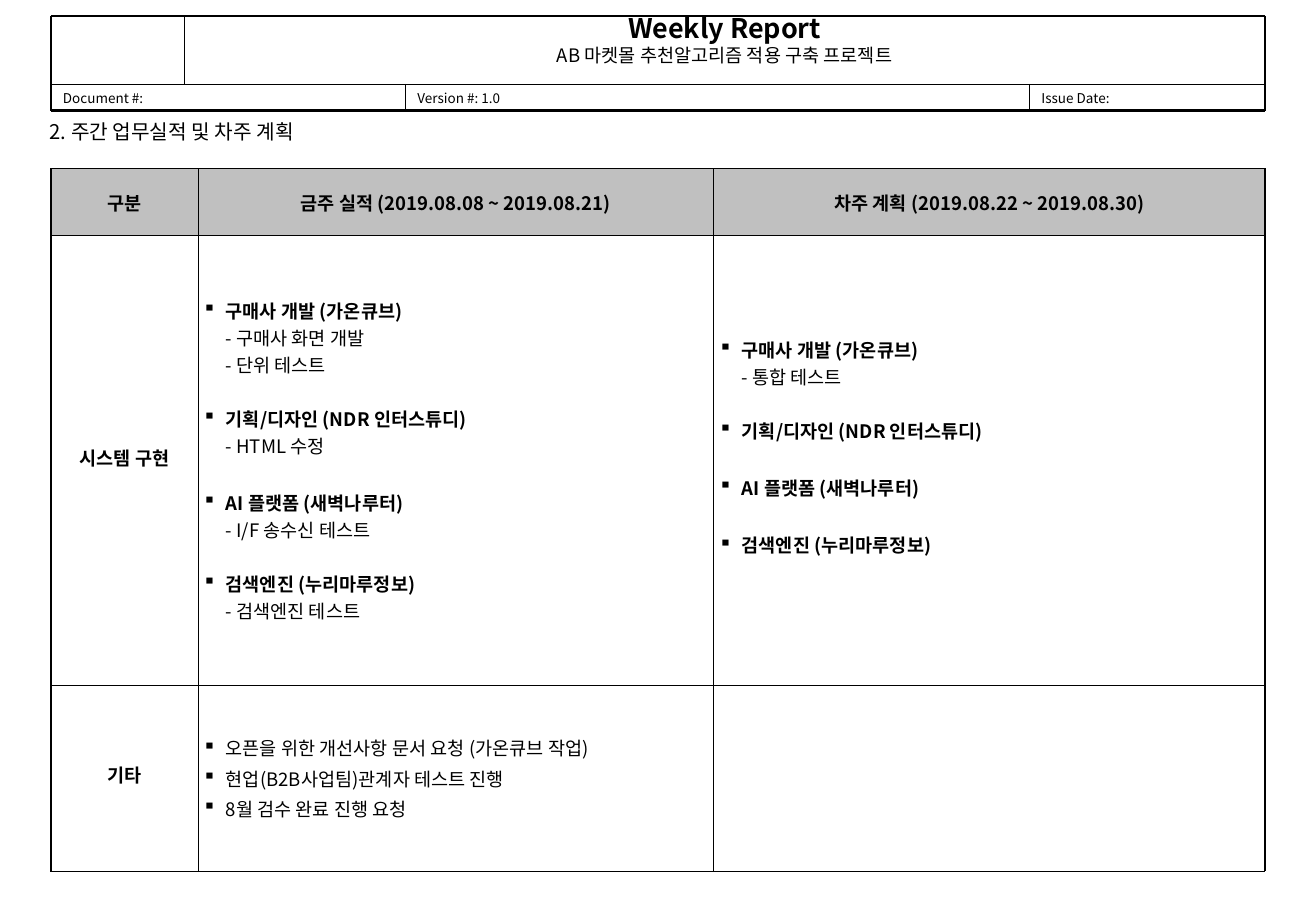
from lxml import etree
from pptx import Presentation
from pptx.dml.color import RGBColor
from pptx.enum.shapes import MSO_CONNECTOR
from pptx.enum.text import MSO_ANCHOR, MSO_AUTO_SIZE, PP_ALIGN
from pptx.oxml.ns import qn
from pptx.util import Inches, Pt

LINE = MSO_CONNECTOR.STRAIGHT
TOP, MIDDLE = MSO_ANCHOR.TOP, MSO_ANCHOR.MIDDLE
FIXED = MSO_AUTO_SIZE.NONE
LEFT, CENTER = PP_ALIGN.LEFT, PP_ALIGN.CENTER

THEME = {
    "font": "Noto Sans CJK KR", "ink": "000000", "paper": "FFFFFF", "head": "C0C0C0",
    "report": 16, "title": 12, "body": 11, "meta": 8,
    "thin": 0.25, "thick": 1.5, "inner": 0.45, "outer": 0.75,
}

TITLE = "2. 주간 업무실적 및 차주 계획"
REPORT = "Weekly Report"
PROJECT = "AB 마켓몰 추천알고리즘 적용 구축 프로젝트"
META = ["Document #:", "Version #: 1.0", "Issue Date:"]
HEADS = ["구분", "금주 실적 (2019.08.08 ~ 2019.08.21)", "차주 계획 (2019.08.22 ~ 2019.08.30)"]
LABELS = ["시스템 구현", "기타"]

DONE = [
    (0, "구매사 개발 (가온큐브)", ["- 구매사 화면 개발", "- 단위 테스트"]),
    (15, "기획/디자인 (NDR 인터스튜디)", ["- HTML 수정"]),
    (17, "AI 플랫폼 (새벽나루터)", ["- I/F 송수신 테스트"]),
    (15, "검색엔진 (누리마루정보)", ["- 검색엔진 테스트"]),
]
PLAN = [
    (0, "구매사 개발 (가온큐브)", ["- 통합 테스트"]),
    (15, "기획/디자인 (NDR 인터스튜디)", []),
    (17, "AI 플랫폼 (새벽나루터)", []),
    (17, "검색엔진 (누리마루정보)", []),
]
OTHER = [
    (0, "오픈을 위한 개선사항 문서 요청 (가온큐브 작업)", []),
    (1, "현업(B2B사업팀)관계자 테스트 진행", []),
    (1, "8월 검수 완료 진행 요청", []),
]
LISTS = [(1, 1, DONE, True, 0.05), (1, 2, PLAN, True, 0.27), (2, 1, OTHER, False, 0.05)]

X0, X1 = 0.42, 10.42
Y0, YMID, Y1 = 0.13, 0.69, 0.91
LOGO = 1.52
EDGES = [X0, 3.34, 8.48, X1]
COLS = [1.21, 4.25, 4.54]
ROWS = [0.55, 3.7, 1.53]
GRID = 1.39


def paint(run, size, bold=False):
    font = run.font
    font.name, font.size, font.bold = THEME["font"], Pt(size), bold
    font.color.rgb = RGBColor.from_string(THEME["ink"])
    east = etree.Element(qn("a:ea"), typeface=THEME["font"])
    run._r.rPr.find(qn("a:latin")).addnext(east)


def write(para, text, size, bold=False, align=LEFT):
    para.text = text
    para.alignment = align
    for run in para.runs:
        paint(run, size, bold)


def setup(frame, anchor, inset=0):
    frame.word_wrap = True
    frame.auto_size = FIXED
    frame.vertical_anchor = anchor
    frame.margin_left = frame.margin_right = Inches(0.1)
    frame.margin_top = frame.margin_bottom = Inches(inset)


def box(slide, x, y, w, h, anchor):
    frame = slide.shapes.add_textbox(Inches(x), Inches(y), Inches(w), Inches(h)).text_frame
    setup(frame, anchor)
    return frame


def rule(slide, x, y, x2, y2, width):
    line = slide.shapes.add_connector(LINE, Inches(x), Inches(y), Inches(x2), Inches(y2))
    line.line.color.rgb = RGBColor.from_string(THEME["ink"])
    line.line.width = Pt(width)
    etree.SubElement(line._element.spPr, qn("a:effectLst"))


def banner(slide):
    frame = box(slide, LOGO, 0.15, X1 - LOGO, YMID - Y0, TOP)
    first, second = frame.paragraphs[0], frame.add_paragraph()
    write(first, REPORT, THEME["report"], True, CENTER)
    write(second, PROJECT, THEME["body"], False, CENTER)
    first.line_spacing = second.line_spacing = 0.8
    second.space_before = Pt(2.2)
    for text, left, right in zip(META, EDGES, EDGES[1:]):
        frame = box(slide, left, YMID, right - left, 0.23, MIDDLE)
        write(frame.paragraphs[0], text, THEME["meta"])
    rule(slide, LOGO, Y0, LOGO, YMID, THEME["thin"])
    for x in EDGES[1:-1]:
        rule(slide, x, YMID, x, Y1, THEME["thin"])
    rule(slide, X0, YMID, X1, YMID, THEME["thin"])
    for x in (X0, X1):
        rule(slide, x, Y0, x, Y1, THEME["thick"])
    for y in (Y0, Y1):
        rule(slide, X0, y, X1, y, THEME["thick"])


def border(cell, row, col):
    outer = {"L": col == 0, "R": col == len(COLS) - 1, "T": row == 0, "B": False}
    props = cell._tc.get_or_add_tcPr()
    for spot, (side, edge) in enumerate(outer.items()):
        width = Pt(THEME["outer" if edge else "inner"])
        line = etree.Element(qn("a:ln" + side), w=str(int(width)))
        fill = etree.SubElement(line, qn("a:solidFill"))
        etree.SubElement(fill, qn("a:srgbClr"), val=THEME["ink"])
        props.insert(spot, line)


def bullet(para):
    props = para._p.get_or_add_pPr()
    props.set("marL", str(int(Inches(0.19))))
    props.set("indent", str(int(Inches(-0.19))))
    color = etree.SubElement(props, qn("a:buClr"))
    etree.SubElement(color, qn("a:srgbClr"), val=THEME["ink"])
    etree.SubElement(props, qn("a:buChar"), char="▪")


def fill_list(cell, items, bold, bottom):
    cell.margin_left = cell.margin_right = Inches(0.04)
    cell.margin_bottom = Inches(bottom)
    frame = cell.text_frame
    for spot, (gap, head, tasks) in enumerate(items):
        para = frame.add_paragraph() if spot else frame.paragraphs[0]
        bullet(para)
        write(para, "\v".join([head, *tasks]), THEME["body"])
        para.runs[0].font.bold = bold
        para.space_before, para.space_after = Pt(gap), Pt(1)


def plan_table(slide):
    shape = slide.shapes.add_table(len(ROWS), len(COLS), Inches(X0), Inches(GRID),
                                   Inches(sum(COLS)), Inches(sum(ROWS)))
    table = shape.table
    for col, width in zip(table.columns, COLS):
        col.width = Inches(width)
    for row, height in zip(table.rows, ROWS):
        row.height = Inches(height)
    for r in range(len(ROWS)):
        for c in range(len(COLS)):
            cell = table.cell(r, c)
            cell.fill.solid()
            cell.fill.fore_color.rgb = RGBColor.from_string(THEME["paper" if r else "head"])
            cell.vertical_anchor = MIDDLE
            cell.margin_left = cell.margin_right = Inches(0.02)
            cell.margin_top = cell.margin_bottom = Inches(0.05)
            border(cell, r, c)
    for c, text in enumerate(HEADS):
        write(table.cell(0, c).text_frame.paragraphs[0], text, THEME["body"], True, CENTER)
    for r, text in enumerate(LABELS, 1):
        para = table.cell(r, 0).text_frame.paragraphs[0]
        write(para, text, THEME["body"], True, CENTER)
        para.line_spacing = Pt(12)
    for r, c, items, bold, bottom in LISTS:
        fill_list(table.cell(r, c), items, bold, bottom)


def main():
    deck = Presentation()
    deck.slide_width, deck.slide_height = Inches(10.84), Inches(7.5)
    slide = deck.slides.add_slide(deck.slide_layouts[5])
    title = slide.shapes.title
    title.left, title.top = Inches(0.31), Inches(0.93)
    title.width, title.height = Inches(3.07), Inches(0.34)
    setup(title.text_frame, TOP, 0.05)
    write(title.text_frame.paragraphs[0], TITLE, THEME["title"])
    banner(slide)
    plan_table(slide)
    deck.save("out.pptx")


if __name__ == "__main__":
    main()
